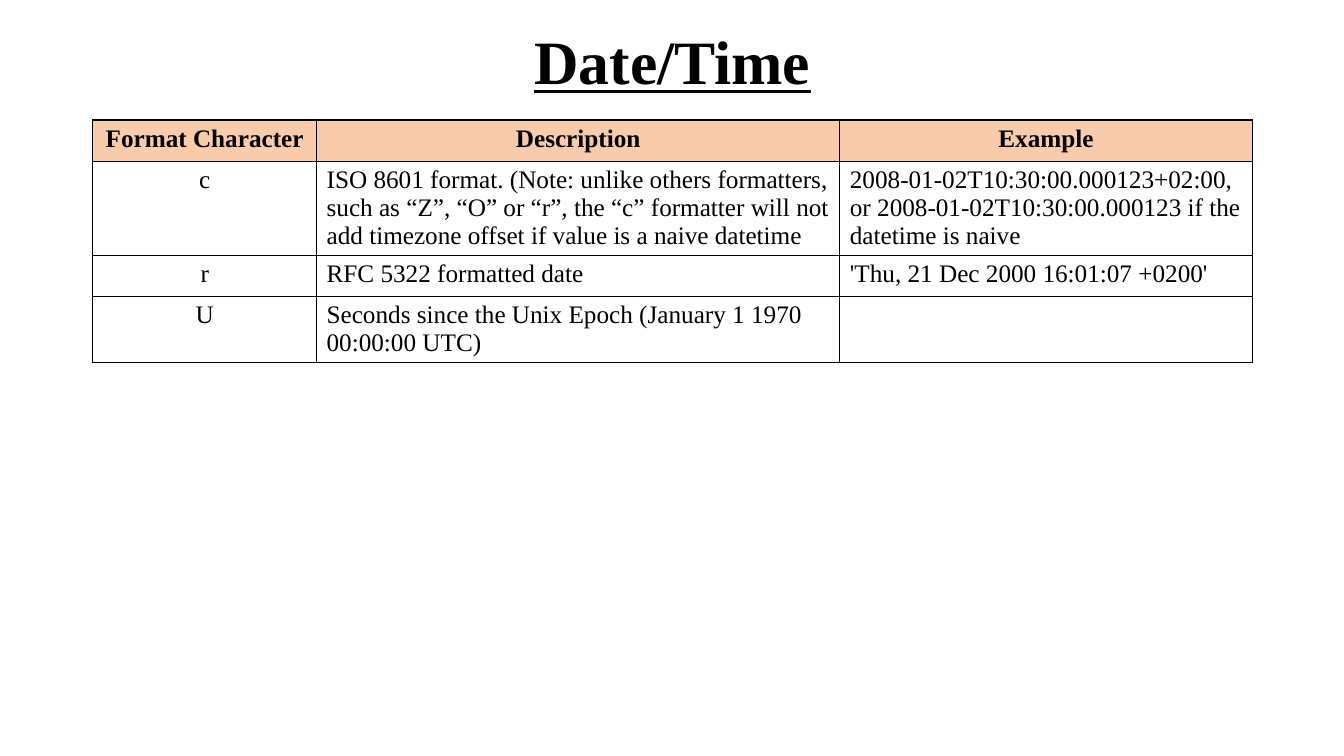
from dataclasses import dataclass

from lxml import etree
from pptx import Presentation
from pptx.dml.color import RGBColor
from pptx.enum.text import MSO_ANCHOR, PP_ALIGN
from pptx.oxml.ns import qn
from pptx.util import Inches, Pt

CENTER, LEFT = PP_ALIGN.CENTER, PP_ALIGN.LEFT
MIDDLE = MSO_ANCHOR.MIDDLE
TITLE_ONLY = 5


@dataclass(frozen=True)
class Theme:
    """Colours, typeface and sizes of the slide."""
    font: str = "Times New Roman"
    ink: str = "000000"
    header_fill: str = "F8CBAD"
    title_size: int = 44
    table_size: int = 18
    border: int = 1


THEME = Theme()
HEADINGS = ("Format Character", "Description", "Example")
FORMATS = (
    ("c",
     "ISO 8601 format. (Note: unlike others formatters, such as “Z”, “O” or “r”, "
     "the “c” formatter will not add timezone offset if value is a naive datetime",
     "2008-01-02T10:30:00.000123+02:00, or 2008-01-02T10:30:00.000123 "
     "if the datetime is naive"),
    ("r", "RFC 5322 formatted date", "'Thu, 21 Dec 2000 16:01:07 +0200'"),
    ("U", "Seconds since the Unix Epoch (January 1 1970 00:00:00 UTC)", ""),
)
COLUMN_WIDTHS = (2.22, 5.19, 4.09)
ROW_HEIGHT = 0.41


def write(frame, text, align, size, **styles):
    """Write one formatted paragraph into a text frame and return it."""
    frame.text = text
    paragraph = frame.paragraphs[0]
    paragraph.alignment = align
    font = paragraph.font
    if paragraph.runs:
        font = paragraph.runs[0].font
    font.color.rgb = RGBColor.from_string(THEME.ink)
    for key, value in {"name": THEME.font, "size": Pt(size), **styles}.items():
        setattr(font, key, value)
    return paragraph


def add_borders(cell):
    """Draw a solid line on all four sides of a cell."""
    properties = cell._tc.get_or_add_tcPr()
    for position, side in enumerate(("lnL", "lnR", "lnT", "lnB")):
        line = etree.Element(qn(f"a:{side}"), w=str(Pt(THEME.border)))
        fill = etree.SubElement(line, qn("a:solidFill"))
        etree.SubElement(fill, qn("a:srgbClr"), val=THEME.ink)
        properties.insert(position, line)


def add_title(slide, text, left, top, width, height):
    """Place the underlined heading in the title placeholder."""
    title = slide.shapes.title
    box = {"left": left, "top": top, "width": width, "height": height}
    for key, value in box.items():
        setattr(title, key, Inches(value))
    title.text_frame.vertical_anchor = MIDDLE
    heading = write(title.text_frame, text, CENTER, THEME.title_size,
                    bold=True, underline=True)
    heading.line_spacing = 0.9


def add_format_table(slide, left, top, width):
    """Place the table of format characters, scaled to the given width."""
    rows = (HEADINGS, *FORMATS)
    table = slide.shapes.add_table(
        len(rows), len(HEADINGS), Inches(left), Inches(top),
        Inches(width), Inches(ROW_HEIGHT * len(rows))).table
    table.horz_banding = False
    for column, share in zip(table.columns, COLUMN_WIDTHS):
        column.width = Inches(width * share / sum(COLUMN_WIDTHS))
    for r, texts in enumerate(rows):
        table.rows[r].height = Inches(ROW_HEIGHT)
        for c, text in enumerate(texts):
            cell = table.cell(r, c)
            is_header = r == 0
            if is_header:
                cell.fill.solid()
                cell.fill.fore_color.rgb = RGBColor.from_string(THEME.header_fill)
            else:
                cell.fill.background()
            add_borders(cell)
            write(cell.text_frame, text, CENTER if is_header or c == 0 else LEFT,
                  THEME.table_size, bold=is_header)


def build_date_time_slide(deck):
    """Build the slide on date and time format characters."""
    slide = deck.slides.add_slide(deck.slide_layouts[TITLE_ONLY])
    left, width = 0.92, 11.5
    add_title(slide, "Date/Time", left, 0.1, width, 1.09)
    add_format_table(slide, left, 1.19, width)


deck = Presentation()
deck.slide_width, deck.slide_height = Inches(13.33), Inches(7.5)
build_date_time_slide(deck)
deck.save("out.pptx")
